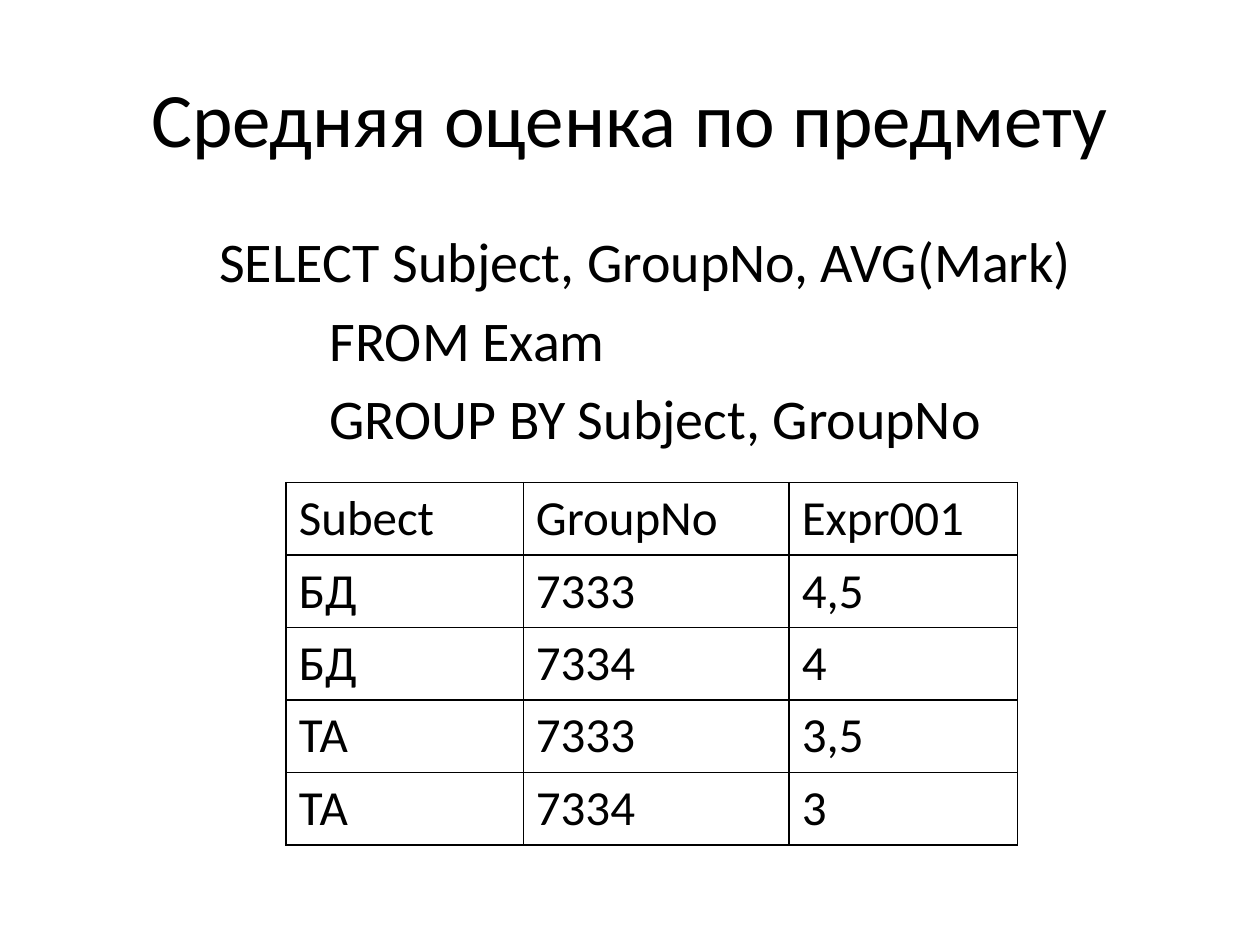
from lxml import etree
from pptx import Presentation
from pptx.dml.color import RGBColor
from pptx.enum.text import MSO_ANCHOR, PP_ALIGN
from pptx.oxml.ns import qn
from pptx.util import Cm, Pt

BLACK = RGBColor(0, 0, 0)
WHITE = RGBColor(255, 255, 255)
LEFT, CENTER = PP_ALIGN.LEFT, PP_ALIGN.CENTER
TOP, MIDDLE = MSO_ANCHOR.TOP, MSO_ANCHOR.MIDDLE
BORDERS = ("a:lnL", "a:lnR", "a:lnT", "a:lnB")

TITLE = "Средняя оценка по предмету"
QUERY = [
    "SELECT Subject, GroupNo, AVG(Mark)",
    "\t\tFROM Exam",
    "\t\tGROUP BY Subject, GroupNo",
]
RESULT = [
    ("Subect", "GroupNo", "Expr001"),
    ("БД", "7333", "4,5"),
    ("БД", "7334", "4"),
    ("ТА", "7333", "3,5"),
    ("ТА", "7334", "3"),
]


class QuerySlide:
    """Style and drawing methods for a slide with a query and its result."""

    font_name = "Calibri"
    color = BLACK
    border_width = Pt(1)

    def __init__(self, presentation):
        self.slide = presentation.slides.add_slide(presentation.slide_layouts[6])

    def style(self, paragraph, size):
        paragraph.font.name = self.font_name
        paragraph.font.size = Pt(size)
        paragraph.font.color.rgb = self.color

    def text(self, box, lines, size, align=LEFT, anchor=TOP, hanging=0, gap=0):
        shape = self.slide.shapes.add_textbox(*map(Cm, box))
        frame = shape.text_frame
        frame.word_wrap = True
        frame.vertical_anchor = anchor
        for index, line in enumerate(lines):
            paragraph = frame.add_paragraph() if index else frame.paragraphs[0]
            paragraph.text = line
            paragraph.alignment = align
            if index:
                paragraph.space_before = Pt(gap)
            if hanging:
                properties = paragraph._p.get_or_add_pPr()
                properties.set("marL", str(Cm(hanging)))
                properties.set("indent", str(-Cm(hanging)))
            self.style(paragraph, size)

    def border(self, cell):
        properties = cell._tc.get_or_add_tcPr()
        for position, tag in enumerate(BORDERS):
            line = etree.Element(qn(tag), w=str(self.border_width))
            fill = etree.SubElement(line, qn("a:solidFill"))
            etree.SubElement(fill, qn("a:srgbClr"), val=str(self.color))
            properties.insert(position, line)

    def table(self, left, top, widths, row_height, rows, size):
        table = self.slide.shapes.add_table(
            len(rows), len(widths), Cm(left), Cm(top),
            Cm(sum(widths)), Cm(row_height * len(rows)),
        ).table
        table.first_row = False
        table.horz_banding = False
        for column, width in zip(table.columns, widths):
            column.width = Cm(width)
        for row, values in zip(table.rows, rows):
            row.height = Cm(row_height)
            for cell, value in zip(row.cells, values):
                cell.text = value
                cell.fill.solid()
                cell.fill.fore_color.rgb = WHITE
                self.border(cell)
                self.style(cell.text_frame.paragraphs[0], size)


def main():
    presentation = Presentation()
    presentation.slide_width, presentation.slide_height = Cm(25.4), Cm(19.05)
    slide = QuerySlide(presentation)
    slide.text((1.27, 0.76, 22.86, 3.18), [TITLE], 44, CENTER, MIDDLE)
    slide.text((4.17, 4.45, 19.96, 4.67), QUERY, 32, hanging=0.95, gap=6.4)
    slide.table(5.77, 9.73, (4.78, 5.36, 4.6), 1.46, RESULT, 28)
    presentation.save("out.pptx")


if __name__ == "__main__":
    main()
